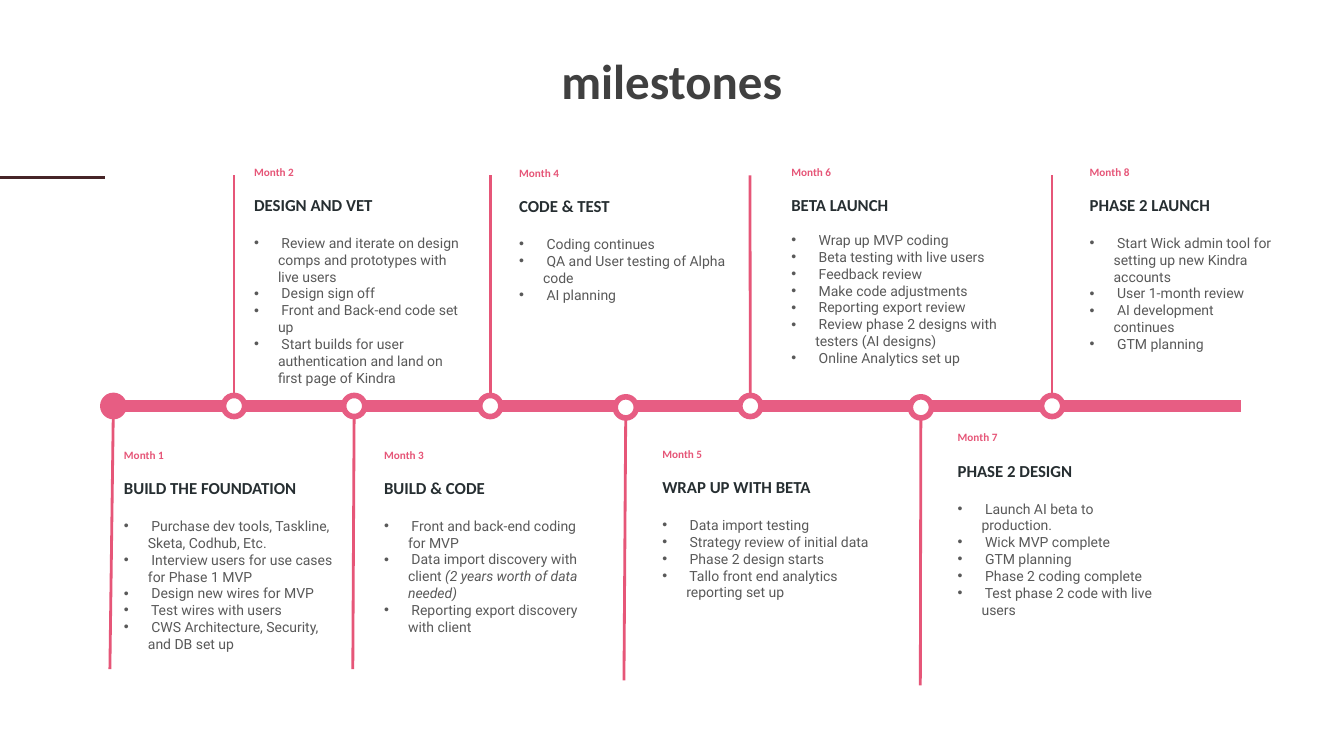
from collections import namedtuple

from lxml.etree import SubElement
from pptx import Presentation
from pptx.dml.color import RGBColor
from pptx.enum.shapes import MSO_CONNECTOR as Connector, MSO_SHAPE as Preset
from pptx.enum.text import MSO_ANCHOR as Anchor, PP_ALIGN as Align
from pptx.oxml.ns import qn
from pptx.util import Pt

ROSE = RGBColor(0xE7, 0x5D, 0x83)
STEM_ROSE = RGBColor(0xE6, 0x56, 0x78)
MAROON = RGBColor(0x46, 0x24, 0x27)
TITLE_GREY = RGBColor(0x40, 0x40, 0x40)
HEADING_INK = RGBColor(0x26, 0x2E, 0x31)
BODY_GREY = RGBColor(0x59, 0x59, 0x59)
WHITE = RGBColor(0xFF, 0xFF, 0xFF)

TITLE = {"name": "Calibri", "size": Pt(35), "bold": True, "color": TITLE_GREY}
MONTH = {"name": "Calibri", "size": Pt(8), "bold": True, "color": STEM_ROSE}
HEADING = {"name": "Calibri", "size": Pt(12), "bold": True, "color": HEADING_INK}
BODY = {"name": "Roboto", "size": Pt(10), "bold": False, "color": BODY_GREY}
ITALIC = {**BODY, "italic": True}

AXIS_Y = 290
NODE_SIZE = 15.12
HANGING = 17.14

# box: left, top, width, height; node and tip: x, y of the two stem ends
Milestone = namedtuple("Milestone", "heading box node tip items gap", defaults=[14])

MILESTONES = [
    Milestone("BUILD THE FOUNDATION", (88.56, 320.4, 156.24, 145.44),
              (81, AXIS_Y), (78.5, 478),
              ["Purchase dev tools, Taskline, Sketa, Codhub, Etc.",
               "Interview users for use cases for Phase 1 MVP",
               "Design new wires for MVP", "Test wires with users",
               "CWS Architecture, Security, and DB set up"]),
    Milestone("DESIGN AND VET", (181.44, 119.5, 149.76, 171.36),
              (167.2, AXIS_Y), (167.2, 125.3),
              ["Review and iterate on design comps and prototypes with live users",
               "Design sign off", "Front and Back-end code set up",
               "Start builds for user authentication and land on first page of Kindra"]),
    Milestone("BUILD & CODE", (274.32, 320.4, 149.76, 133.2),
              (253, AXIS_Y), (252, 478),
              ["Front and back-end coding for MVP",
               ("Data import discovery with client", " (2 years worth of data needed)"),
               "Reporting export discovery with client"]),
    Milestone("CODE & TEST", (370.8, 120.24, 149.76, 97.2),
              (350.2, AXIS_Y), (350.2, 125.3),
              ["Coding continues", "QA and User testing of Alpha code", "AI planning"]),
    Milestone("WRAP UP WITH BETA", (473.04, 320.4, 149.76, 108.72),
              (447, AXIS_Y + 1), (445.7, 486),
              ["Data import testing", "Strategy review of initial data",
               "Phase 2 design starts",
               "Tallo front end analytics reporting set up"]),
    Milestone("BETA LAUNCH", (565.2, 119.5, 149.76, 143.28),
              (536, AXIS_Y), (535.7, 125.3),
              ["Wrap up MVP coding", "Beta testing with live users",
               "Feedback review", "Make code adjustments",
               "Reporting export review",
               "Review phase 2 designs with testers (AI designs)",
               "Online Analytics set up"], 12),
    Milestone("PHASE 2 DESIGN", (684, 320.4, 149.76, 120.96),
              (657.8, AXIS_Y + 1), (657.4, 489.6),
              ["Launch AI beta to production.", "Wick MVP complete", "GTM planning",
               "Phase 2 coding complete", "Test phase 2 code with live users"]),
    Milestone("PHASE 2 LAUNCH", (778.32, 119.5, 131.04, 121.68),
              (751.5, AXIS_Y), (751.5, 125.3),
              ["Start Wick admin tool for setting up new Kindra accounts",
               "User 1-month review", "AI development continues", "GTM planning"]),
]


def apply_format(target, values):
    for name, value in values.items():
        if name == "color":
            target.color.rgb = value
        else:
            setattr(target, name, value)


def add_run(paragraph, text, font_values):
    run = paragraph.add_run()
    run.text = text
    apply_format(run.font, font_values)


def add_text_frame(slide, box, anchor, margin=0):
    frame = slide.shapes.add_textbox(*map(Pt, box)).text_frame
    sides = ("margin_left", "margin_top", "margin_right", "margin_bottom")
    apply_format(frame, {"word_wrap": True, "vertical_anchor": anchor,
                         **dict.fromkeys(sides, Pt(margin))})
    return frame


def add_line(slide, start, end, color, width):
    line = slide.shapes.add_connector(Connector.STRAIGHT, *map(Pt, (*start, *end)))
    line.line.color.rgb = color
    line.line.width = Pt(width)
    SubElement(line._element.spPr, qn("a:effectLst"))


def add_bullet(paragraph):
    properties = paragraph._p.get_or_add_pPr()
    properties.set("marL", str(Pt(HANGING)))
    properties.set("indent", str(-Pt(HANGING)))
    SubElement(properties, qn("a:buFont"), typeface="Arial")
    SubElement(properties, qn("a:buChar"), char="•")


def draw_title(slide, box):
    # Accent rule at the slide's left edge, then the heading
    add_line(slide, (0, 126.72), (75, 126.72), MAROON, 2.5)
    paragraph = add_text_frame(slide, box, Anchor.MIDDLE, 3.6).paragraphs[0]
    apply_format(paragraph, {"alignment": Align.CENTER, "line_spacing": Pt(36)})
    add_run(paragraph, "milestones", TITLE)


def draw_milestone(slide, number, milestone):
    # Stem and node
    add_line(slide, milestone.tip, milestone.node, STEM_ROSE, 2)
    corner = [center - NODE_SIZE / 2 for center in milestone.node]
    node = slide.shapes.add_shape(Preset.OVAL, *map(Pt, (*corner, NODE_SIZE, NODE_SIZE)))
    node.shadow.inherit = False
    node.fill.solid()
    node.fill.fore_color.rgb = ROSE if number == 1 else WHITE
    node.line.color.rgb = ROSE
    node.line.width = Pt(4)

    # Month and heading
    below_axis = milestone.box[1] > AXIS_Y
    frame = add_text_frame(slide, milestone.box, Anchor.BOTTOM if below_axis else Anchor.TOP)
    month = frame.paragraphs[0]
    month.line_spacing = Pt(8)
    add_run(month, f"Month {number}", MONTH)
    heading = frame.add_paragraph()
    apply_format(heading, {"line_spacing": Pt(12), "space_before": Pt(14)})
    add_run(heading, milestone.heading, HEADING)

    # Bulleted tasks; a pair holds plain text and an italic remark
    for index, item in enumerate(milestone.items):
        text, remark = item if isinstance(item, tuple) else (item, "")
        paragraph = frame.add_paragraph()
        paragraph.space_before = Pt(0 if index else milestone.gap)
        add_bullet(paragraph)
        add_run(paragraph, f" {text}", BODY)
        if remark:
            add_run(paragraph, remark, ITALIC)


def draw_timeline(slide, left, right):
    add_line(slide, (left, AXIS_Y), (right, AXIS_Y), ROSE, 8)
    for number, milestone in enumerate(MILESTONES, 1):
        draw_milestone(slide, number, milestone)


def main():
    presentation = Presentation()
    presentation.slide_width = Pt(960)
    presentation.slide_height = Pt(540)
    slide = presentation.slides.add_slide(presentation.slide_layouts[6])
    draw_title(slide, (276.48, 38.16, 406.8, 43.92))
    draw_timeline(slide, 81, 886.3)
    presentation.save("out.pptx")


if __name__ == "__main__":
    main()
